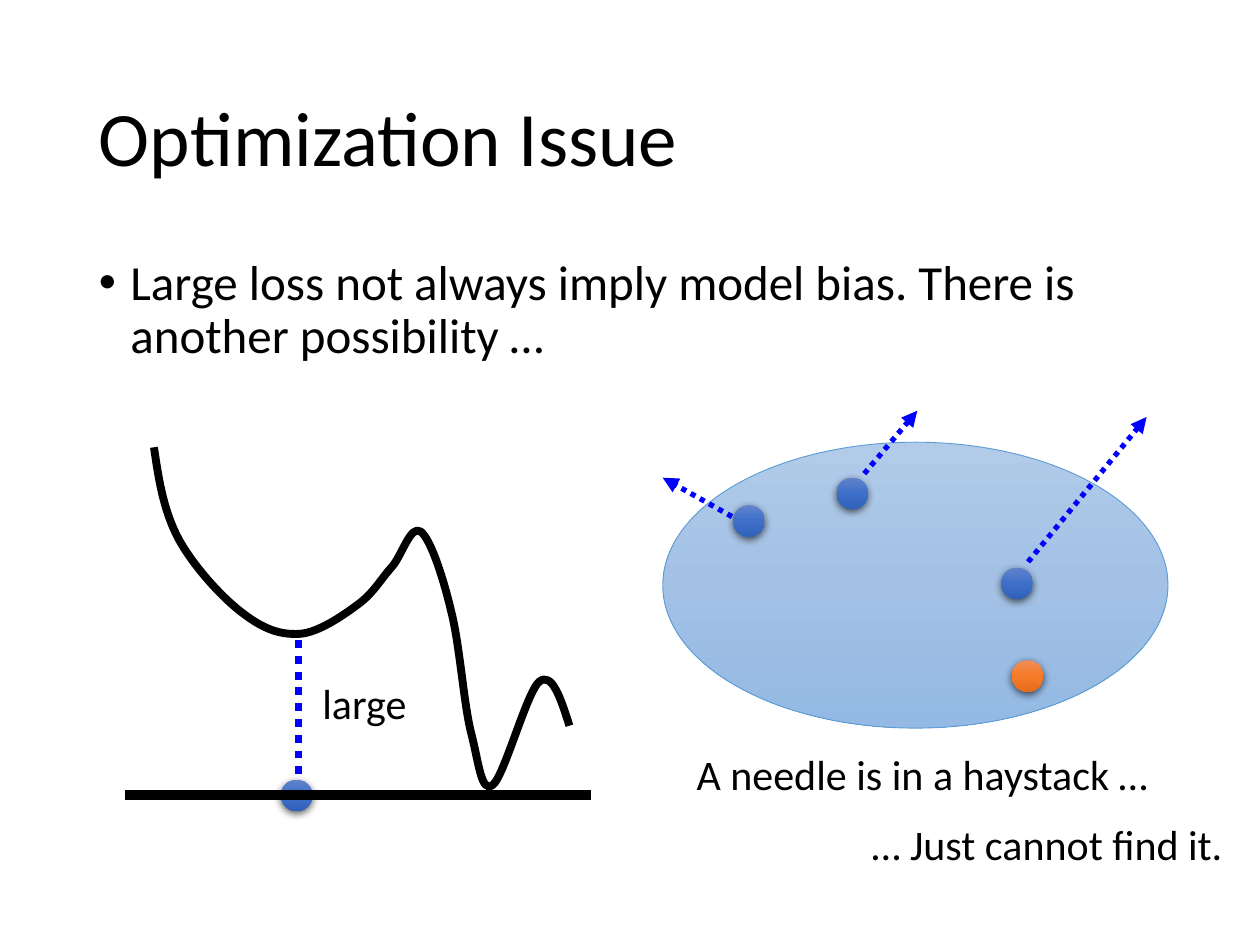
from copy import deepcopy

from lxml import etree
from pptx import Presentation
from pptx import util as u
from pptx.dml.color import RGBColor
from pptx.enum import dml, shapes, text
from pptx.oxml import parse_xml
from pptx.oxml.ns import nsdecls, qn

Pt = u.Pt
BLACK, BLUE = "000000", "0000FF"


def color(value):
    return RGBColor.from_string(value)


def add_ellipse(slide, left, top, width, height, gradient):
    """Ellipse with a three-stop gradient that runs downwards."""
    ellipse = slide.shapes.add_shape(
        shapes.MSO_SHAPE.OVAL, Pt(left), Pt(top), Pt(width), Pt(height))
    ellipse.shadow.inherit = False
    ellipse.fill.gradient()
    ellipse.fill.gradient_angle = 270
    stop_list = ellipse._element.spPr.find(".//" + qn("a:gsLst"))
    stop_list.insert(1, deepcopy(stop_list[0]))
    for stop, position, value in zip(ellipse.fill.gradient_stops, (0, 0.5, 1), gradient):
        stop.position = position
        stop.color.rgb = color(value)
    return ellipse


presentation = Presentation()
presentation.slide_width, presentation.slide_height = Pt(720), Pt(540)
slide = presentation.slides.add_slide(presentation.slide_layouts[6])

# Haystack
haystack = add_ellipse(slide, 378.7, 252.7, 288.7, 163.4, ("B1CBE9", "A3C1E5", "93B9E4"))
haystack.line.color.rgb = color("5B9BD5")
haystack.line.width = Pt(0.5)

# Texts: wording, left, top, width, height, size, format of frame and paragraph
body = "Large loss not always imply model bias. There is another possibility …"
middle = {"vertical_anchor": text.MSO_ANCHOR.MIDDLE}
tight = {"line_spacing": 0.9}
texts = [
    ("Optimization Issue", 49.5, 28.8, 621, 104.4, 44, middle, tight),
    (body, 49.5, 144, 621, 342.7, 28, {}, tight),
    ("large", 177.1, 383.8, 80.6, 36, 24, {}, {}),
    ("A needle is in a haystack …", 391, 424.1, 360, 36, 24, {}, {}),
    ("… Just cannot find it.", 491, 464.4, 225.4, 36, 24, {}, {}),
]
for wording, left, top, width, height, size, frame_format, paragraph_format in texts:
    box = slide.shapes.add_textbox(Pt(left), Pt(top), Pt(width), Pt(height))
    frame = box.text_frame
    frame.word_wrap = True
    for name, value in frame_format.items():
        setattr(frame, name, value)
    paragraph = frame.paragraphs[0]
    paragraph.text = wording
    for name, value in paragraph_format.items():
        setattr(paragraph, name, value)
    if wording == body:
        properties = paragraph._p.get_or_add_pPr()
        properties.set("marL", str(Pt(18)))
        properties.set("indent", str(Pt(-18)))
        etree.SubElement(properties, qn("a:buFont"), typeface="Arial")
        etree.SubElement(properties, qn("a:buChar"), char="•")
    for name, value in {"size": Pt(size), "name": "Calibri"}.items():
        setattr(paragraph.font, name, value)
    paragraph.font.color.rgb = color(BLACK)

# Loss curve: a start point, then three points for each Bezier segment
curve_points = [
    (88, 255.6),
    (90.7, 274.3), (93.6, 292.3), (102.2, 308.2),
    (110.9, 324), (127.4, 342), (139, 350.6),
    (150.5, 359.3), (159.8, 362.9), (171.4, 362.2),
    (182.2, 361.4), (196.6, 351.4), (205.2, 344.9),
    (213.8, 338.4), (217.4, 331.2), (223.9, 324),
    (229.7, 317.5), (234.7, 299.5), (240.5, 303.8),
    (246.2, 308.2), (253.4, 330.5), (257.8, 349.2),
    (262.8, 368.6), (265, 402.5), (269.3, 419),
    (273.6, 435.6), (275, 453.6), (281.5, 448.6),
    (288, 444.2), (301, 395.3), (308.2, 389.5),
    (315.4, 383.8), (320.4, 398.9), (325.4, 414.7),
]
points = [(Pt(x), Pt(y)) for x, y in curve_points]
builder = slide.shapes.build_freeform(*points[0])
builder.add_line_segments(points[1:], close=False)
loss_curve = builder.convert_to_shape()
loss_curve.shadow.inherit = False
loss_curve.fill.background()
loss_curve.line.color.rgb = color(BLACK)
loss_curve.line.width = Pt(4.5)

# Turn every three straight segments into one Bezier segment
segments = loss_curve._element.findall(".//" + qn("a:lnTo"))
outline = segments[0].getparent()
for start in range(0, len(segments), 3):
    bezier = etree.SubElement(outline, qn("a:cubicBezTo"))
    for segment in segments[start:start + 3]:
        bezier.append(segment[0])
        outline.remove(segment)

# Lines: from, to, colour, width, dotted, arrowhead
lines = [
    (71.3, 454.3, 337.7, 454.3, BLACK, 6, False, False),
    (170.6, 365.8, 170.6, 447.1, BLUE, 4.5, True, False),
    (587.5, 321.1, 655.2, 238.3, BLUE, 3, True, True),
    (493.9, 270.7, 524.2, 234.7, BLUE, 3, True, True),
    (418.3, 295.2, 378.7, 273, BLUE, 3, True, True),
]
for x1, y1, x2, y2, line_color, width, dotted, arrow in lines:
    connector = slide.shapes.add_connector(
        shapes.MSO_CONNECTOR.STRAIGHT, Pt(x1), Pt(y1), Pt(x2), Pt(y2))
    connector.line.color.rgb = color(line_color)
    connector.line.width = Pt(width)
    if dotted:
        connector.line.dash_style = dml.MSO_LINE.ROUND_DOT
    if arrow:
        etree.SubElement(connector.line._get_or_add_ln(), qn("a:tailEnd"), type="triangle")
    etree.SubElement(connector._element.spPr, qn("a:effectLst"))

# Dots with a soft shadow
blue_gradient = ("6183CB", "3E70CA", "3062BB")
orange_gradient = ("F18C57", "F67B28", "E56C19")
dots = [
    (160.5, 445.5, blue_gradient),
    (578.2, 377.3, orange_gradient),
    (478, 272.9, blue_gradient),
    (419, 288.7, blue_gradient),
    (572.2, 324.3, blue_gradient),
]
for left, top, gradient in dots:
    dot = add_ellipse(slide, left, top, 18, 18, gradient)
    dot.line.fill.background()
    dot._element.spPr.find(qn("a:effectLst")).append(parse_xml(
        f'<a:outerShdw {nsdecls("a")} blurRad="{Pt(4.5)}" dist="{Pt(1.5)}" '
        'dir="5400000" algn="ctr" rotWithShape="0">'
        f'<a:srgbClr val="{BLACK}"><a:alpha val="63000"/></a:srgbClr></a:outerShdw>'))

# The dotted drop ends on top of the dot below it
drop = slide.shapes[7]._element
drop.getparent().append(drop)

presentation.save("out.pptx")
